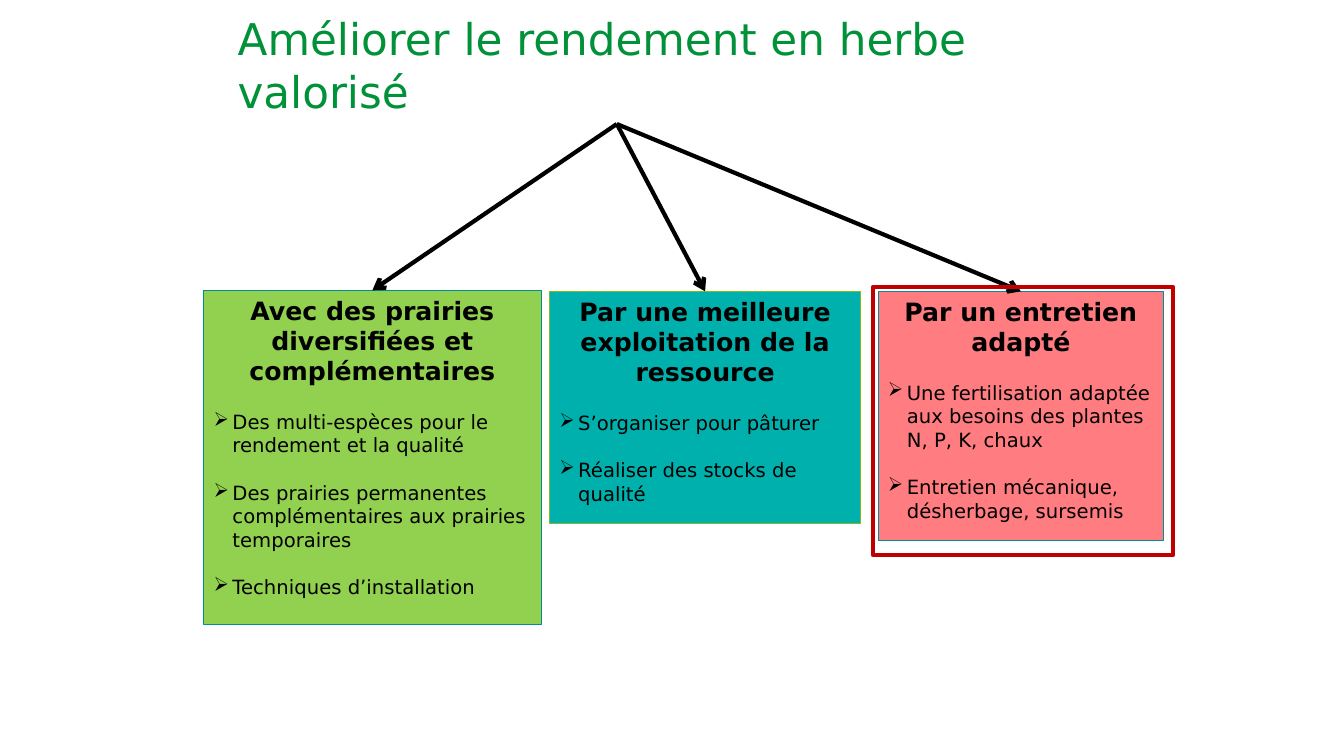
from dataclasses import dataclass

from lxml import etree
from pptx import Presentation
from pptx.dml.color import RGBColor
from pptx.enum import shapes as kinds, text as txt
from pptx.oxml import ns
from pptx.util import Pt


@dataclass(frozen=True)
class Theme:
    font: str = "DejaVu Sans"
    title: float = 31.2
    head: float = 18
    body: float = 14
    gap: float = 17
    green: str = "009139"
    black: str = "000000"
    teal: str = "008E96"
    lime: str = "80BA27"
    red: str = "C00000"


THEME = Theme()
ROOT = (440.6, 88.6)

# Left, top, width, height, fill, line, heading, bullets
CARDS = [
    (145.5, 207.4, 241, 238.5, "92D050", THEME.teal,
     "Avec des prairies diversifiées et complémentaires",
     ["Des multi-espèces pour le rendement et la qualité",
      "Des prairies permanentes complémentaires aux prairies temporaires",
      "Techniques d’installation"]),
    (392.4, 208.1, 222.5, 166, "00B0AC", THEME.lime,
     "Par une meilleure exploitation de la ressource",
     ["S’organiser pour pâturer",
      "Réaliser des stocks de qualité"]),
    (627.2, 208.1, 204, 178, "FF7C80", THEME.teal,
     "Par un entretien adapté",
     ["Une fertilisation adaptée aux besoins des plantes N, P, K, chaux",
      "Entretien mécanique, désherbage, sursemis"]),
]


def color(code):
    return RGBColor.from_string(code)


def add_run(para, words, size, code, bold=False):
    run = para.add_run()
    run.text = words
    font = run.font
    font.name, font.size, font.bold = THEME.font, Pt(size), bold
    font.color.rgb = color(code)


def add_title(slide, words):
    box = slide.shapes.add_textbox(Pt(162.7), Pt(3.6), Pt(556), Pt(85))
    frame = box.text_frame
    frame.word_wrap = True
    frame.vertical_anchor = txt.MSO_ANCHOR.MIDDLE
    add_run(frame.paragraphs[0], words, THEME.title, THEME.green)


def add_rect(slide, left, top, width, height, line, weight, fill=None):
    rect = slide.shapes.add_shape(kinds.MSO_SHAPE.RECTANGLE,
                                  Pt(left), Pt(top), Pt(width), Pt(height))
    rect.shadow.inherit = False
    if fill:
        rect.fill.solid()
        rect.fill.fore_color.rgb = color(fill)
    else:
        rect.fill.background()
    rect.line.color.rgb = color(line)
    rect.line.width = Pt(weight)
    return rect


def add_bullet(frame, words):
    para = frame.add_paragraph()
    para.alignment = txt.PP_ALIGN.LEFT
    para.space_before = Pt(THEME.gap)
    # Hanging indent and arrow bullet
    props = para._p.get_or_add_pPr()
    props.set("marL", str(Pt(13.5)))
    props.set("indent", str(Pt(-13.5)))
    etree.SubElement(props, ns.qn("a:buChar")).set("char", "➢")
    add_run(para, words, THEME.body, THEME.black)


def add_card(slide, left, top, width, height, fill, line, head, points):
    rect = add_rect(slide, left, top, width, height, line, 0.5, fill)
    frame = rect.text_frame
    frame.word_wrap = True
    frame.vertical_anchor = txt.MSO_ANCHOR.TOP
    para = frame.paragraphs[0]
    para.alignment = txt.PP_ALIGN.CENTER
    add_run(para, head, THEME.head, THEME.black, True)
    for words in points:
        add_bullet(frame, words)


def add_arrow(slide, start, end):
    link = slide.shapes.add_connector(kinds.MSO_CONNECTOR.STRAIGHT,
                                      *map(Pt, start + end))
    link.line.color.rgb = color(THEME.black)
    link.line.width = Pt(3)
    # Open arrowhead, no shadow
    etree.SubElement(link.line._get_or_add_ln(),
                     ns.qn("a:tailEnd")).set("type", "arrow")
    etree.SubElement(link._element.spPr, ns.qn("a:effectLst"))


def main():
    deck = Presentation()
    deck.slide_width, deck.slide_height = Pt(960), Pt(540)
    slide = deck.slides.add_slide(deck.slide_layouts[6])

    add_title(slide, "Améliorer le rendement en herbe valorisé")
    for card in CARDS:
        add_card(slide, *card)

    # From the title to the top centre of each card
    for left, top, width, *_ in CARDS:
        add_arrow(slide, ROOT, (left + width / 2, top))

    # Frame around the last card
    add_rect(slide, 623.5, 205, 214.5, 191.5, THEME.red, 3)
    deck.save("out.pptx")


if __name__ == "__main__":
    main()
